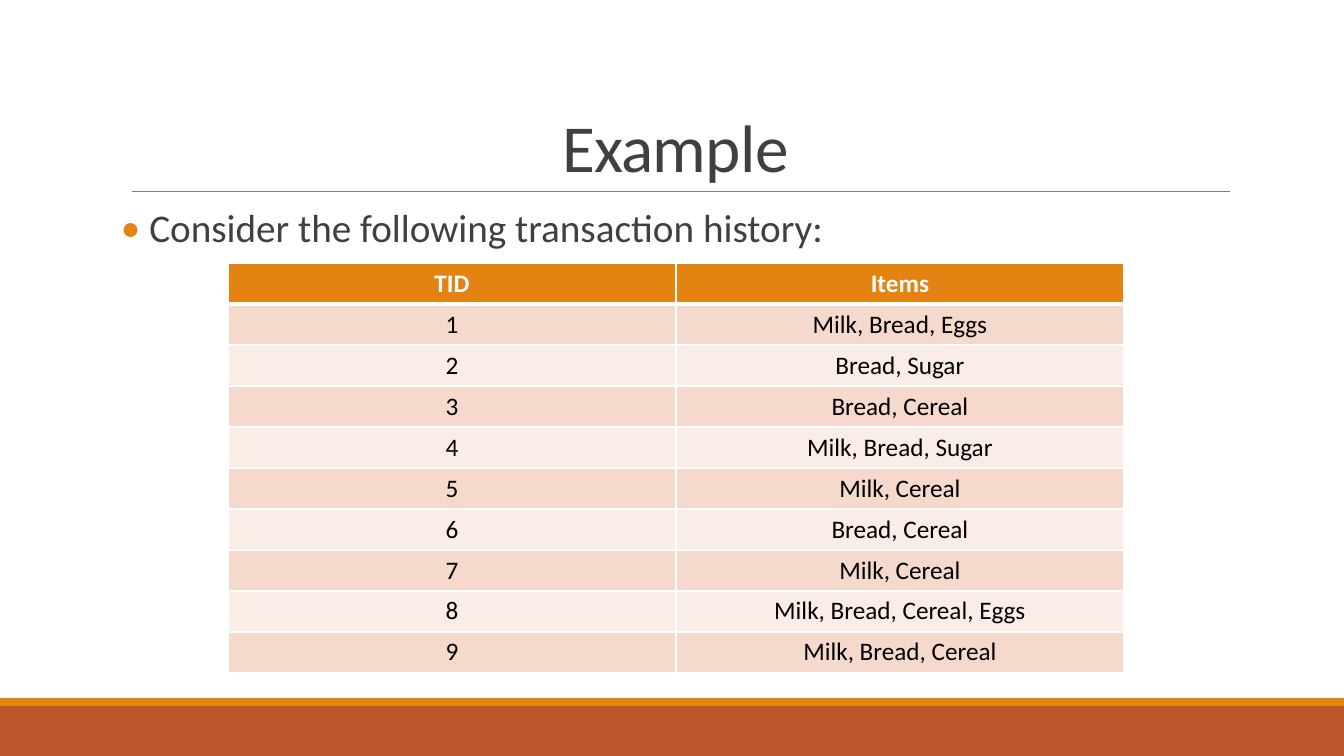
from lxml import etree
from pptx import Presentation
from pptx.dml.color import RGBColor
from pptx.enum import shapes, text
from pptx.oxml.ns import qn
from pptx.util import Pt

# Content
HEADING = "Example"
LEAD = " Consider the following transaction history:"
TRANSACTIONS = [
    ("TID", "Items"),
    ("1", "Milk, Bread, Eggs"),
    ("2", "Bread, Sugar"),
    ("3", "Bread, Cereal"),
    ("4", "Milk, Bread, Sugar"),
    ("5", "Milk, Cereal"),
    ("6", "Bread, Cereal"),
    ("7", "Milk, Cereal"),
    ("8", "Milk, Bread, Cereal, Eggs"),
    ("9", "Milk, Bread, Cereal"),
]
FOOTER_BANDS = [((0, 706, 1344, 50), "BD582C"), ((0, 698, 1344, 8), "E48312")]

# Style and measures in px
FONT = "Calibri"
ORANGE, GREY, WHITE, BLACK = "E48312", "404040", "FFFFFF", "000000"
STRIPES = ["FAEDE7", "F5D9CC"]
TABLE_LEFT, TABLE_TOP, COLUMN_WIDTH, ROW_HEIGHT = 228, 263, 448, 41
EMU_PER_PX = 914400 / 100.8


def px(*lengths):
    return [round(length * EMU_PER_PX) for length in lengths]


def color(hex_code):
    return RGBColor.from_string(hex_code)


def style(paragraph, size, hex_code, align, bold=False):
    paragraph.alignment = align
    for run in paragraph.runs:
        run.font.name, run.font.size, run.font.bold = FONT, Pt(size), bold
        run.font.color.rgb = color(hex_code)


def add_text(box, words, size, align, line_spacing, anchor):
    frame = slide.shapes.add_textbox(*px(*box)).text_frame
    frame.word_wrap = True
    frame.vertical_anchor = anchor
    frame.text = words
    paragraph = frame.paragraphs[0]
    paragraph.line_spacing = line_spacing
    style(paragraph, size, GREY, align)
    return frame


def add_border(cell, side, points):
    line = etree.SubElement(cell._tc.get_or_add_tcPr(), qn(f"a:{side}"), w=str(Pt(points)))
    fill = etree.SubElement(line, qn("a:solidFill"))
    etree.SubElement(fill, qn("a:srgbClr"), val=WHITE)


deck = Presentation()
deck.slide_width, deck.slide_height = px(1344, 756)
slide = deck.slides.add_slide(deck.slide_layouts[6])

# Footer bands
for box, hex_code in FOOTER_BANDS:
    band = slide.shapes.add_shape(shapes.MSO_SHAPE.RECTANGLE, *px(*box))
    band.shadow.inherit = False
    band.fill.solid()
    band.fill.fore_color.rgb = color(hex_code)
    band.line.fill.background()

# Rule under the heading
rule = slide.shapes.add_connector(shapes.MSO_CONNECTOR.STRAIGHT, *px(132, 191, 1230, 191))
rule.line.color.rgb = color("808080")
rule.line.width = Pt(0.5)
etree.SubElement(rule._element.spPr, qn("a:effectLst"))

# Heading
heading = add_text((121, 31, 1109, 160), HEADING, 48, text.PP_ALIGN.CENTER,
                   0.85, text.MSO_ANCHOR.BOTTOM)
heading.paragraphs[0].runs[0].font._element.set("spc", "-50")

# Lead line with an orange bullet
lead = add_text((121, 204, 1109, 444), LEAD, 28, text.PP_ALIGN.JUSTIFY,
                0.9, text.MSO_ANCHOR.TOP)
lead.margin_left = lead.margin_right = 0
lead_line = lead.paragraphs[0]
lead_line.space_before, lead_line.space_after = Pt(12), Pt(2)
bullet = lead_line._p.get_or_add_pPr()
indent, = px(10)
bullet.set("marL", str(indent))
bullet.set("indent", str(-indent))
bullet_color = etree.SubElement(bullet, qn("a:buClr"))
etree.SubElement(bullet_color, qn("a:srgbClr"), val=ORANGE)
etree.SubElement(bullet, qn("a:buFont"), typeface=FONT)
etree.SubElement(bullet, qn("a:buChar"), char="•")

# Transaction table
row_count, column_count = len(TRANSACTIONS), len(TRANSACTIONS[0])
table = slide.shapes.add_table(
    row_count, column_count,
    *px(TABLE_LEFT, TABLE_TOP, column_count * COLUMN_WIDTH, row_count * ROW_HEIGHT)).table
for r, transaction in enumerate(TRANSACTIONS):
    header = r == 0
    for c, entry in enumerate(transaction):
        cell = table.cell(r, c)
        cell.text = entry
        style(cell.text_frame.paragraphs[0], 18, WHITE if header else BLACK,
              text.PP_ALIGN.CENTER, header)
        for side in ("lnL", "lnR", "lnT", "lnB"):
            header_edge = (r, side) in ((0, "lnB"), (1, "lnT"))
            add_border(cell, side, 3 if header_edge else 1)
        cell.fill.solid()
        cell.fill.fore_color.rgb = color(ORANGE if header else STRIPES[r % 2])

deck.save("out.pptx")
